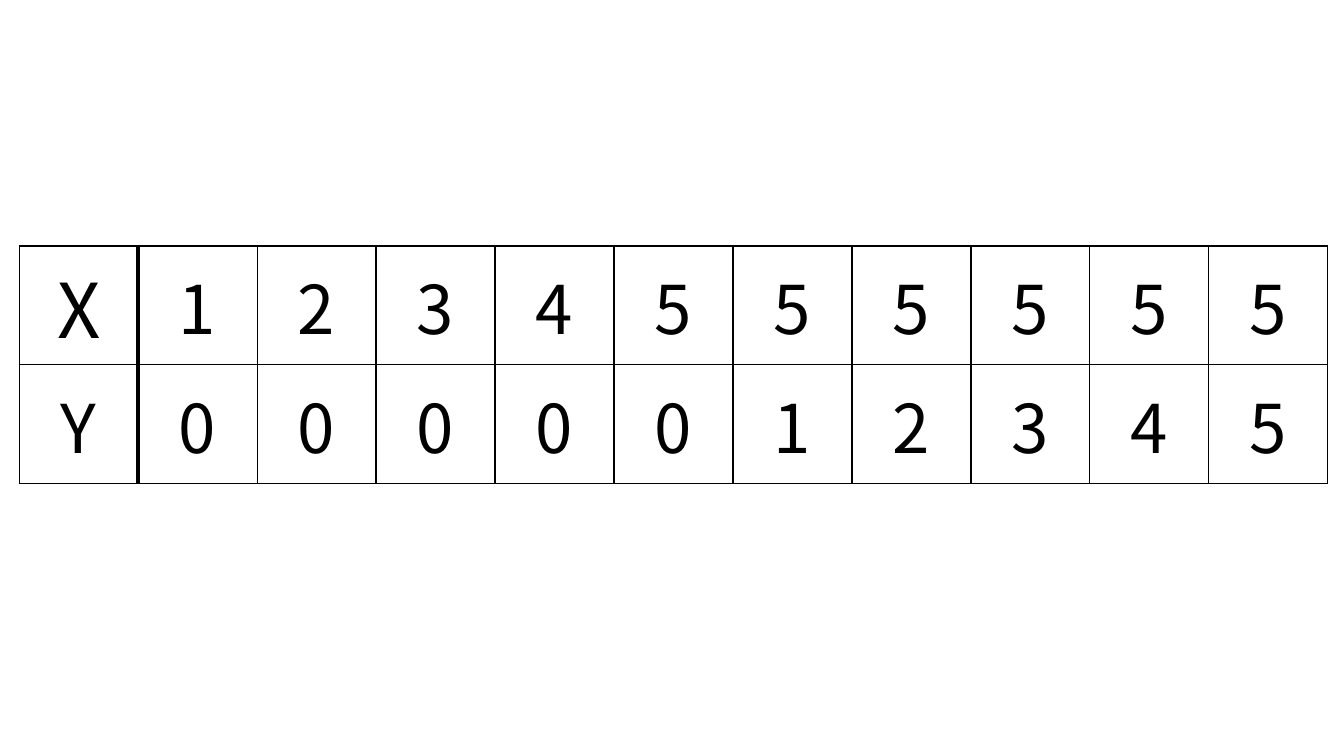
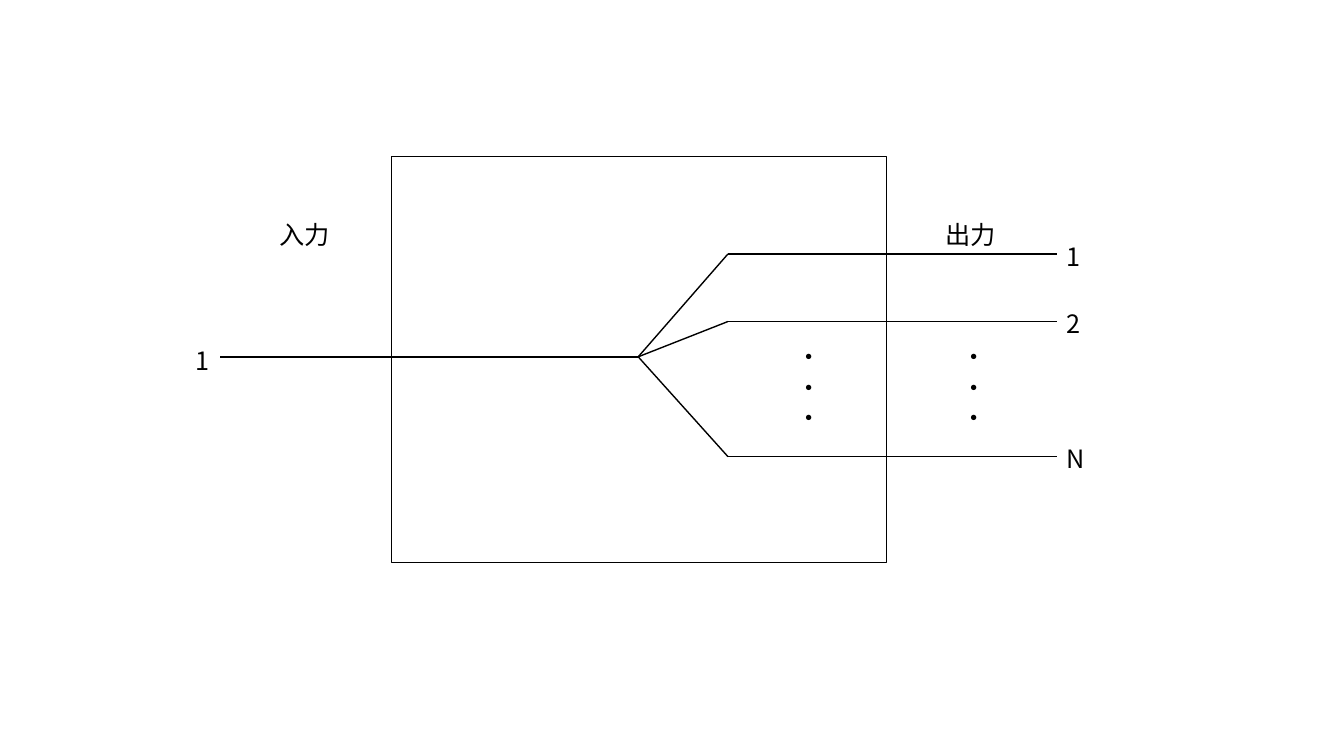
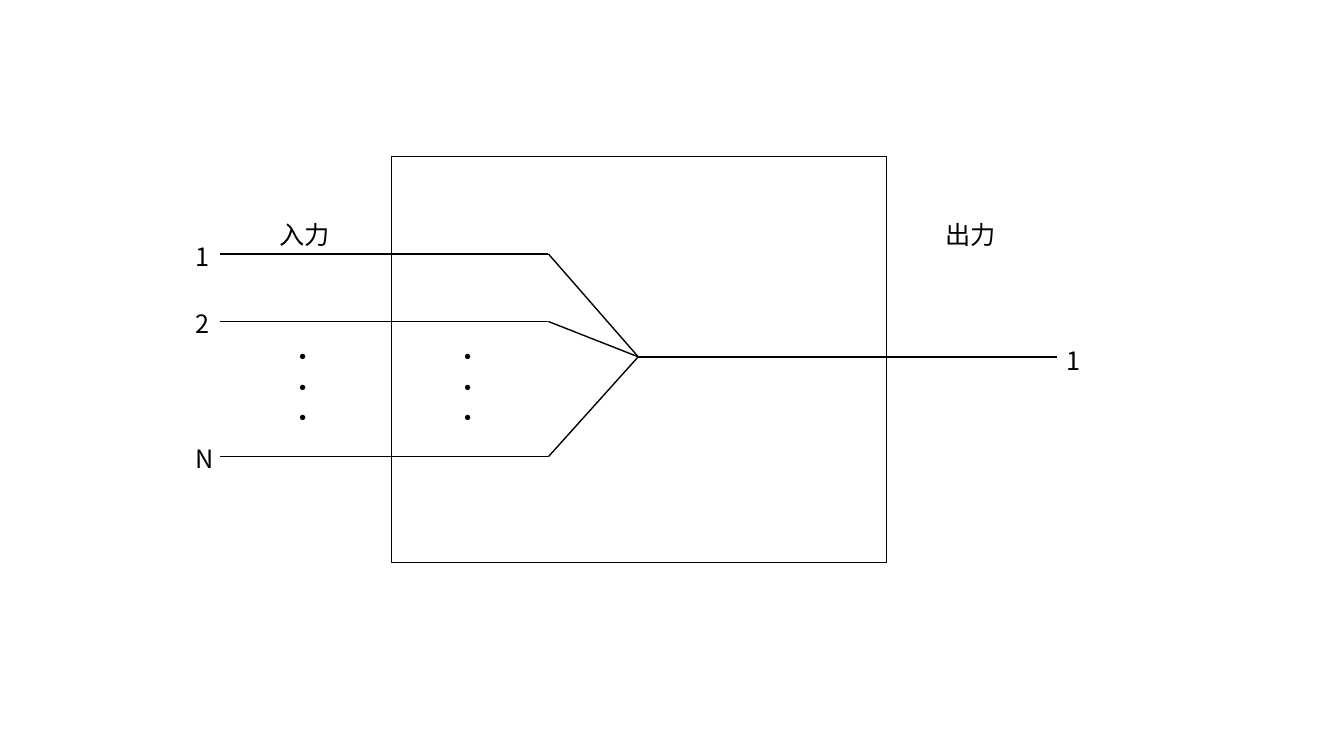
"""Build a table of X and Y steps and two mirrored line diagrams."""
from dataclasses import dataclass

from lxml import etree
from pptx import Presentation
from pptx.dml.color import RGBColor
from pptx.enum.shapes import MSO_CONNECTOR, MSO_SHAPE
from pptx.enum.text import MSO_ANCHOR, MSO_AUTO_SIZE, PP_ALIGN
from pptx.oxml.ns import qn
from pptx.util import Inches, Pt

STRAIGHT = MSO_CONNECTOR.STRAIGHT
RECT = MSO_SHAPE.RECTANGLE
MIDDLE = MSO_ANCHOR.MIDDLE
GROW = MSO_AUTO_SIZE.SHAPE_TO_FIT_TEXT
CENTER = PP_ALIGN.CENTER


@dataclass(frozen=True)
class Theme:
    """Colours, fonts, type sizes and line widths."""
    ink: RGBColor = RGBColor(0, 0, 0)
    face: str = "Noto Sans CJK JP"
    label: int = 18
    lead: float = 21.6
    cell: int = 48
    head: int = 54
    thin: int = 1
    thick: int = 3


THEME = Theme()
STEPS = ("X1234555555".replace("4", "4"), "Y0000012345")
SIDE = 1.18
MID = 6.33
KNEE = 0.89
REACH = 4.15
HUB = 3.54
ROWS = (("1", 2.52, 0.34), ("2", 3.19, 0.34), ("N", 4.53, 0.39))
DOTS = (1.69, 3.33)


def style(para, size):
    """Give a paragraph the theme font at a size."""
    font = para.font
    font.size = Pt(size)
    font.color.rgb = THEME.ink
    font.name = THEME.face
    props = para._p.get_or_add_pPr().get_or_add_defRPr()
    etree.SubElement(props, qn("a:ea"), typeface=THEME.face)


def label(slide, left, top, width, text):
    """Add an unwrapped label, one paragraph per line of text."""
    lines = text.split("\n")
    high = 0.1 + 0.3 * len(lines)
    box = slide.shapes.add_textbox(
        Inches(left), Inches(top), Inches(width), Inches(high))
    frame = box.text_frame
    frame.word_wrap = False
    frame.auto_size = GROW
    frame.margin_top = Inches(0.07)
    frame.margin_bottom = Inches(0.03)
    frame.text = text
    for para in frame.paragraphs:
        para.line_spacing = Pt(THEME.lead)
        style(para, THEME.label)


def wire(slide, start, end):
    """Draw a thin straight line between two points."""
    ends = [Inches(value) for value in (*start, *end)]
    line = slide.shapes.add_connector(STRAIGHT, *ends)
    line.line.color.rgb = THEME.ink
    line.line.width = Pt(THEME.thin)
    etree.SubElement(line._element.spPr, qn("a:effectLst"))


def frame_box(slide):
    """Draw the unfilled box around the junction."""
    box = slide.shapes.add_shape(
        RECT, Inches(3.88), Inches(1.55), Inches(4.91), Inches(4.03))
    box.shadow.inherit = False
    box.fill.background()
    box.line.color.rgb = THEME.ink
    box.line.width = Pt(THEME.thin)


def edge(cell, tag, width):
    """Add one border line to a cell."""
    line = etree.SubElement(
        cell._tc.get_or_add_tcPr(), qn(tag), w=str(Pt(width)))
    fill = etree.SubElement(line, qn("a:solidFill"))
    etree.SubElement(fill, qn("a:srgbClr"), val=str(THEME.ink))


def fill_cell(cell, col, text):
    """Write a centred value and rule the cell."""
    cell.text = text
    cell.vertical_anchor = MIDDLE
    cell.margin_top = cell.margin_bottom = Inches(0.04)
    para = cell.text_frame.paragraphs[0]
    para.alignment = CENTER
    style(para, THEME.head if text == "X" else THEME.cell)
    edge(cell, "a:lnL", THEME.thick if col == 1 else THEME.thin)
    edge(cell, "a:lnR", THEME.thick if col == 0 else THEME.thin)
    edge(cell, "a:lnT", THEME.thin)
    edge(cell, "a:lnB", THEME.thin)
    cell.fill.background()


def step_table(slide):
    """Add the table of X and Y steps."""
    rows, cols = len(STEPS), len(STEPS[0])
    table = slide.shapes.add_table(
        rows, cols, Inches(0.19), Inches(2.44),
        Inches(SIDE * cols), Inches(SIDE * rows)).table
    table.first_row = table.horz_banding = False
    for row, texts in enumerate(STEPS):
        for col, text in enumerate(texts):
            fill_cell(table.cell(row, col), col, text)


def tag_left(side, width):
    """Return the left of a label beyond the wires on one side."""
    return MID + REACH if side > 0 else MID - REACH - width


def fan(slide, side):
    """Draw one wire fanning out to N wires; side 1 is right, -1 left."""
    frame_box(slide)
    label(slide, 2.67, 2.11, 0.71, "入力")
    label(slide, 9.28, 2.11, 0.71, "出力")
    hub = (MID, HUB)
    wire(slide, hub, (MID - side * REACH, HUB))
    label(slide, tag_left(-side, 0.34), 3.36, 0.34, "1")
    for text, level, width in ROWS:
        knee = (MID + side * KNEE, level)
        wire(slide, hub, knee)
        wire(slide, knee, (MID + side * REACH, level))
        label(slide, tag_left(side, 0.34), level - 0.2, width, text)
    for gap in DOTS:
        label(slide, MID + side * gap - 0.22, 3.32, 0.45, "・\n・\n・")


def main():
    """Build and save the slides."""
    deck = Presentation()
    deck.slide_width = Inches(13.33)
    deck.slide_height = Inches(7.5)
    blank = deck.slide_layouts[6]
    step_table(deck.slides.add_slide(blank))
    for side in (1, -1):
        fan(deck.slides.add_slide(blank), side)
    deck.save("out.pptx")


main()
